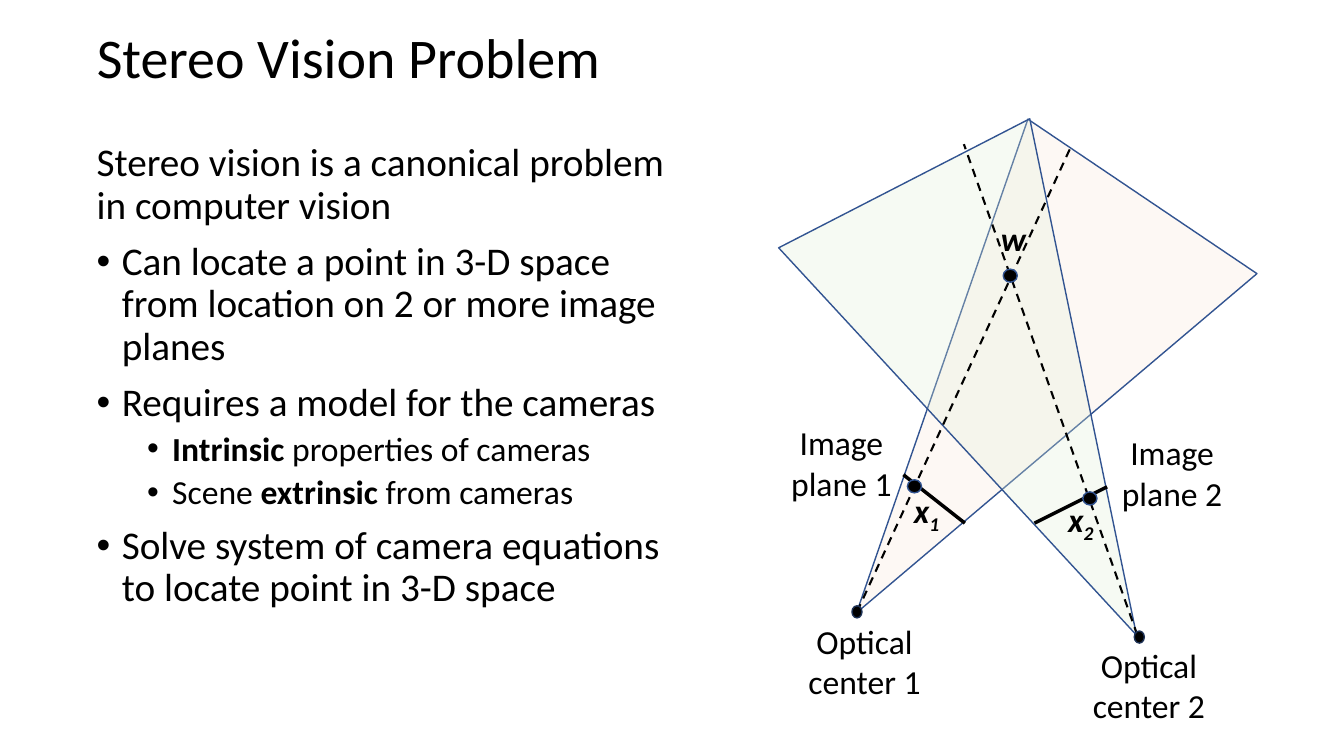
"""Build the slide on the stereo vision problem, with its two-camera diagram."""
from dataclasses import dataclass

from lxml import etree
from pptx import Presentation
from pptx.dml.color import RGBColor
from pptx.enum import dml, shapes, text
from pptx.oxml import ns
from pptx.util import Inches, Pt


@dataclass(frozen=True)
class Theme:
    """Hold the colours, font and type sizes."""
    font: str = "Calibri"
    ink: str = "000000"
    outline: str = "325491"
    center_outline: str = "1E3256"
    view_1: str = "FBE5D6"
    view_2: str = "E2F0D9"
    title: int = 40
    body: int = 28
    small: int = 24


THEME = Theme()

BODY = [
    (None, [("Stereo vision is a canonical problem in computer vision", False)]),
    (0, [("Can locate a point in 3-D space from location on 2 or more image planes", False)]),
    (0, [("Requires a model for the cameras", False)]),
    (1, [("Intrinsic", True), (" properties of cameras", False)]),
    (1, [("Scene ", False), ("extrinsic", True), (" from cameras", False)]),
    (0, [("Solve system of camera equations to locate point in 3-D space", False)]),
]


def rgb(color):
    """Turn a hex string into a colour."""
    return RGBColor.from_string(color)


def style_run(run, size, bold=False, italic=False):
    """Format one run in the theme font and ink."""
    run.font.name = THEME.font
    run.font.size = Pt(size)
    run.font.bold = bold
    run.font.italic = italic
    run.font.color.rgb = rgb(THEME.ink)


def place(item, left, top, width, height):
    """Move and size a shape, in inches."""
    item.left, item.top = Inches(left), Inches(top)
    item.width, item.height = Inches(width), Inches(height)


def add_title(slide, wording):
    """Fill and place the title placeholder."""
    title = slide.shapes.title
    place(title, 0.86, 0.12, 11.5, 0.95)
    frame = title.text_frame
    frame.text = wording
    frame.vertical_anchor = text.MSO_ANCHOR.MIDDLE
    heading = frame.paragraphs[0]
    heading.alignment = text.PP_ALIGN.LEFT
    heading.line_spacing = 0.9
    style_run(heading.runs[0], THEME.title)


def add_bullet(paragraph, level):
    """Give a paragraph a hanging bullet."""
    props = paragraph._p.get_or_add_pPr()
    props.set("marL", str(Inches(0.25 + 0.5 * level)))
    props.set("indent", str(Inches(-0.25)))
    bullet_font = etree.SubElement(props, ns.qn("a:buFont"))
    bullet_font.set("typeface", "Arial")
    etree.SubElement(props, ns.qn("a:buChar")).set("char", "•")


def add_body(slide):
    """Write the introduction and its bullets."""
    box = slide.shapes.add_textbox(Inches(0.86), Inches(1.37), Inches(6.01), Inches(5.69))
    frame = box.text_frame
    frame.word_wrap = True
    for index, (level, parts) in enumerate(BODY):
        paragraph = frame.paragraphs[0] if index == 0 else frame.add_paragraph()
        paragraph.line_spacing = 0.9
        if index:
            paragraph.space_before = Pt(5 if level == 1 else 10)
        if level is not None:
            paragraph.level = level
            add_bullet(paragraph, level)
        for wording, bold in parts:
            run = paragraph.add_run()
            run.text = wording
            style_run(run, THEME.small if level == 1 else THEME.body, bold)


def add_outlined(slide, kind, frame, fill, outline):
    """Draw a filled preset shape with a thin outline."""
    shape = slide.shapes.add_shape(kind, *map(Inches, frame))
    shape.shadow.inherit = False
    shape.fill.solid()
    shape.fill.fore_color.rgb = rgb(fill)
    shape.line.color.rgb = rgb(outline)
    shape.line.width = Pt(1)
    return shape


def add_view(slide, frame, rotation, apex, fill, opacity):
    """Draw the see-through triangle that one camera views."""
    view = add_outlined(slide, shapes.MSO_SHAPE.ISOSCELES_TRIANGLE, frame, fill, THEME.outline)
    view.adjustments[0] = apex
    view.rotation = rotation
    color = view.fill._xPr.find(ns.qn("a:solidFill"))[0]
    etree.SubElement(color, ns.qn("a:alpha")).set("val", str(opacity * 1000))


def add_dot(slide, left, top, width, height, outline):
    """Draw a black point."""
    frame = (left, top, width, height)
    add_outlined(slide, shapes.MSO_SHAPE.OVAL, frame, THEME.ink, outline)


def add_line(slide, start, end, width, dashed=False):
    """Draw a straight line between two points."""
    line = slide.shapes.add_connector(
        shapes.MSO_CONNECTOR.STRAIGHT, *map(Inches, (*start, *end)))
    line.line.color.rgb = rgb(THEME.ink)
    line.line.width = Pt(width)
    if dashed:
        line.line.dash_style = dml.MSO_LINE.DASH
    etree.SubElement(line._element.spPr, ns.qn("a:effectLst"))


def add_label(slide, frame, wording, subscript="", symbol=False):
    """Write a centred label, with a subscript if given."""
    box = slide.shapes.add_textbox(*map(Inches, frame))
    box.text_frame.word_wrap = True
    paragraph = box.text_frame.paragraphs[0]
    paragraph.text = wording
    paragraph.alignment = text.PP_ALIGN.CENTER
    if subscript:
        index = paragraph.add_run()
        index.text = subscript
        index.font._element.set("baseline", "-25000")
    for run in paragraph.runs:
        style_run(run, THEME.small, symbol, symbol)


def add_diagram(slide):
    """Draw the two cameras looking at one point."""
    add_view(slide, (8.56, 1.52, 2.74, 5.01), 214, 0.515, THEME.view_1, 25)
    add_view(slide, (8.72, 1.54, 2.8, 5.04), 152.8, 0.5, THEME.view_2, 29)

    for start, end in [((8.96, 4.71), (9.57, 5.19)), ((10.26, 5.19), (10.98, 4.83))]:
        add_line(slide, start, end, 2.5)
    for center, far_end in [((8.5, 6.07), (10.62, 1.46)), ((11.28, 6.3), (9.56, 1.43))]:
        add_line(slide, center, far_end, 1.5, dashed=True)

    for left, top in [(9.95, 2.67), (9, 4.76), (10.74, 4.88)]:
        add_dot(slide, left, top, 0.14, 0.13, THEME.outline)
    for left, top in [(8.45, 6.01), (11.25, 6.26)]:
        add_dot(slide, left, top, 0.1, 0.12, THEME.center_outline)

    for left, top, letter, index in [
            (9.76, 2.11, "w", ""), (8.9, 4.81, "x", "1"), (10.43, 4.9, "x", "2")]:
        add_label(slide, (left, top, 0.58, 0.5), letter, index, symbol=True)
    for left, top, wording in [
            (10.77, 4.24, "Image plane 2"), (7.49, 4.14, "Image plane 1"),
            (10.54, 6.35, "Optical center 2"), (7.72, 6.11, "Optical center 1")]:
        add_label(slide, (left, top, 1.71, 0.91), wording)


def main():
    """Build and save the slide."""
    deck = Presentation()
    deck.slide_width, deck.slide_height = Inches(13.33), Inches(7.5)
    slide = deck.slides.add_slide(deck.slide_layouts[5])
    add_title(slide, "Stereo Vision Problem")
    add_body(slide)
    add_diagram(slide)
    deck.save("out.pptx")


if __name__ == "__main__":
    main()
